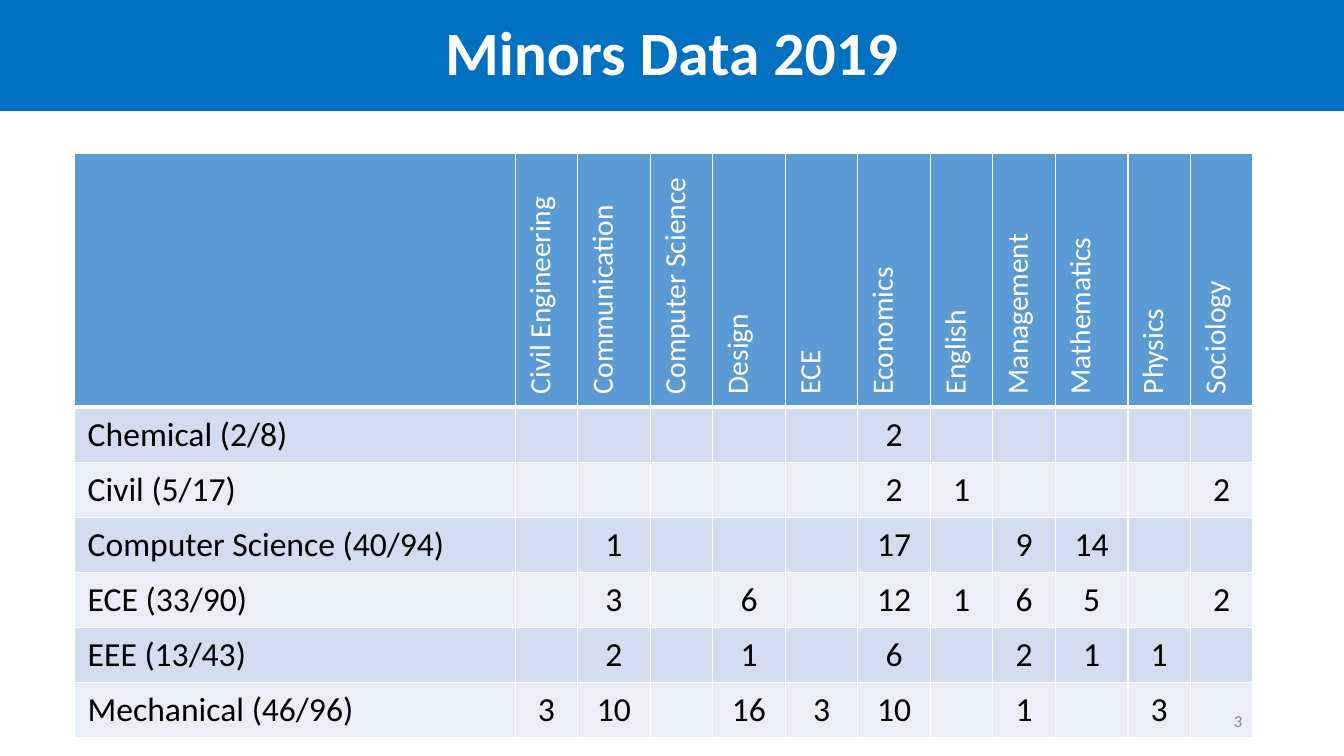
from dataclasses import dataclass

from lxml.etree import fromstring
from pptx import Presentation
from pptx.dml.color import RGBColor
from pptx.enum.text import MSO_ANCHOR, PP_ALIGN
from pptx.util import Inches, Pt

DRAWING_NS = "http://schemas.openxmlformats.org/drawingml/2006/main"

MINORS = ["Civil Engineering", "Communication", "Computer Science", "Design",
          "ECE", "Economics", "English", "Management", "Mathematics",
          "Physics", "Sociology"]
COUNTS = {
    "Chemical (2/8)": {"Economics": 2},
    "Civil (5/17)": {"Economics": 2, "English": 1, "Sociology": 2},
    "Computer Science (40/94)": {"Communication": 1, "Economics": 17,
                                 "Management": 9, "Mathematics": 14},
    "ECE (33/90)": {"Communication": 3, "Design": 6, "Economics": 12,
                    "English": 1, "Management": 6, "Mathematics": 5,
                    "Sociology": 2},
    "EEE (13/43)": {"Communication": 2, "Design": 1, "Economics": 6,
                    "Management": 2, "Mathematics": 1, "Physics": 1},
    "Mechanical (46/96)": {"Civil Engineering": 3, "Communication": 10,
                           "Design": 16, "ECE": 3, "Economics": 10,
                           "Management": 1, "Physics": 3},
}
WIDE_MINORS = {"Communication", "Design", "ECE", "Economics", "Mathematics"}


@dataclass(frozen=True)
class Theme:
    font: str = "Calibri"
    banner: str = "0070C0"
    header: str = "5B9BD5"
    bands: tuple = ("D2DEEF", "EAEFF7")
    light: str = "FFFFFF"
    dark: str = "000000"
    muted: str = "8C8C8C"
    title_size: int = 44
    header_size: int = 21
    body_size: int = 24
    number_size: int = 12


class SlideBuilder:
    def __init__(self, deck, theme):
        self.theme = theme
        self.slide = deck.slides.add_slide(deck.slide_layouts[5])

    def add_text(self, frame, text, size, color, align=PP_ALIGN.LEFT, bold=False):
        paragraph = frame.paragraphs[0]
        paragraph.alignment = align
        run = paragraph.add_run()
        run.text = text
        formats = {"name": self.theme.font, "size": Pt(size), "bold": bold}
        for name, value in formats.items():
            setattr(run.font, name, value)
        run.font.color.rgb = RGBColor.from_string(color)
        return paragraph

    def title(self, text, left, top, width, height):
        banner = self.slide.shapes.title
        place = {"left": left, "top": top, "width": width, "height": height}
        for name, value in place.items():
            setattr(banner, name, Inches(value))
        banner.fill.solid()
        banner.fill.fore_color.rgb = RGBColor.from_string(self.theme.banner)
        banner.text_frame.vertical_anchor = MSO_ANCHOR.MIDDLE
        heading = self.add_text(banner.text_frame, text, self.theme.title_size,
                                self.theme.light, PP_ALIGN.CENTER, True)
        heading.line_spacing = 0.9

    def cell(self, cell, text, fill, size, color, align=PP_ALIGN.LEFT,
             anchor=MSO_ANCHOR.TOP, bottom_line=1):
        formats = {"margin_left": Inches(0.13), "margin_right": Inches(0.13),
                   "margin_top": Inches(0.07), "margin_bottom": Inches(0.07),
                   "vertical_anchor": anchor}
        for name, value in formats.items():
            setattr(cell, name, value)
        cell.fill.solid()
        cell.fill.fore_color.rgb = RGBColor.from_string(fill)
        if text:
            self.add_text(cell.text_frame, text, size, color, align)
        properties = cell._tc.get_or_add_tcPr()
        sides = {"L": 1, "R": 1, "T": 1, "B": bottom_line}
        for position, (side, points) in enumerate(sides.items()):
            properties.insert(position, fromstring(
                f'<a:ln{side} xmlns:a="{DRAWING_NS}" w="{Pt(points)}"><a:solidFill>'
                f'<a:srgbClr val="{self.theme.light}"/></a:solidFill></a:ln{side}>'))
        return properties

    def minors_table(self, left, top):
        theme = self.theme
        widths = [4.37] + [0.72 if minor in WIDE_MINORS else 0.62 for minor in MINORS]
        heights = [2.52] + [0.54] * len(COUNTS)
        table = self.slide.shapes.add_table(
            len(heights), len(widths), Inches(left), Inches(top),
            Inches(sum(widths)), Inches(sum(heights))).table
        for column, width in zip(table.columns, widths):
            column.width = Inches(width)
        for row, height in zip(table.rows, heights):
            row.height = Inches(height)

        for column, minor in enumerate([""] + MINORS):
            properties = self.cell(table.cell(0, column), minor, theme.header,
                                   theme.header_size, theme.light,
                                   anchor=MSO_ANCHOR.MIDDLE, bottom_line=3)
            if minor:
                properties.set("vert", "vert270")

        for row, (department, counts) in enumerate(COUNTS.items(), 1):
            band = theme.bands[(row - 1) % 2]
            self.cell(table.cell(row, 0), department, band,
                      theme.body_size, theme.dark)
            for column, minor in enumerate(MINORS, 1):
                self.cell(table.cell(row, column), str(counts.get(minor, "")),
                          band, theme.body_size, theme.dark, PP_ALIGN.CENTER)

    def page_number(self, text, left, top, width, height):
        frame = self.slide.shapes.add_textbox(
            Inches(left), Inches(top), Inches(width), Inches(height)).text_frame
        frame.word_wrap = True
        frame.vertical_anchor = MSO_ANCHOR.MIDDLE
        self.add_text(frame, text, self.theme.number_size, self.theme.muted,
                      PP_ALIGN.RIGHT)


def main():
    deck = Presentation()
    deck.slide_width = Inches(13.33)
    deck.slide_height = Inches(7.5)
    builder = SlideBuilder(deck, Theme())
    builder.title("Minors Data 2019", 0, 0, 13.33, 1.1)
    builder.minors_table(0.74, 1.52)
    builder.page_number("3", 9.42, 6.95, 3, 0.4)
    deck.save("out.pptx")


if __name__ == "__main__":
    main()
